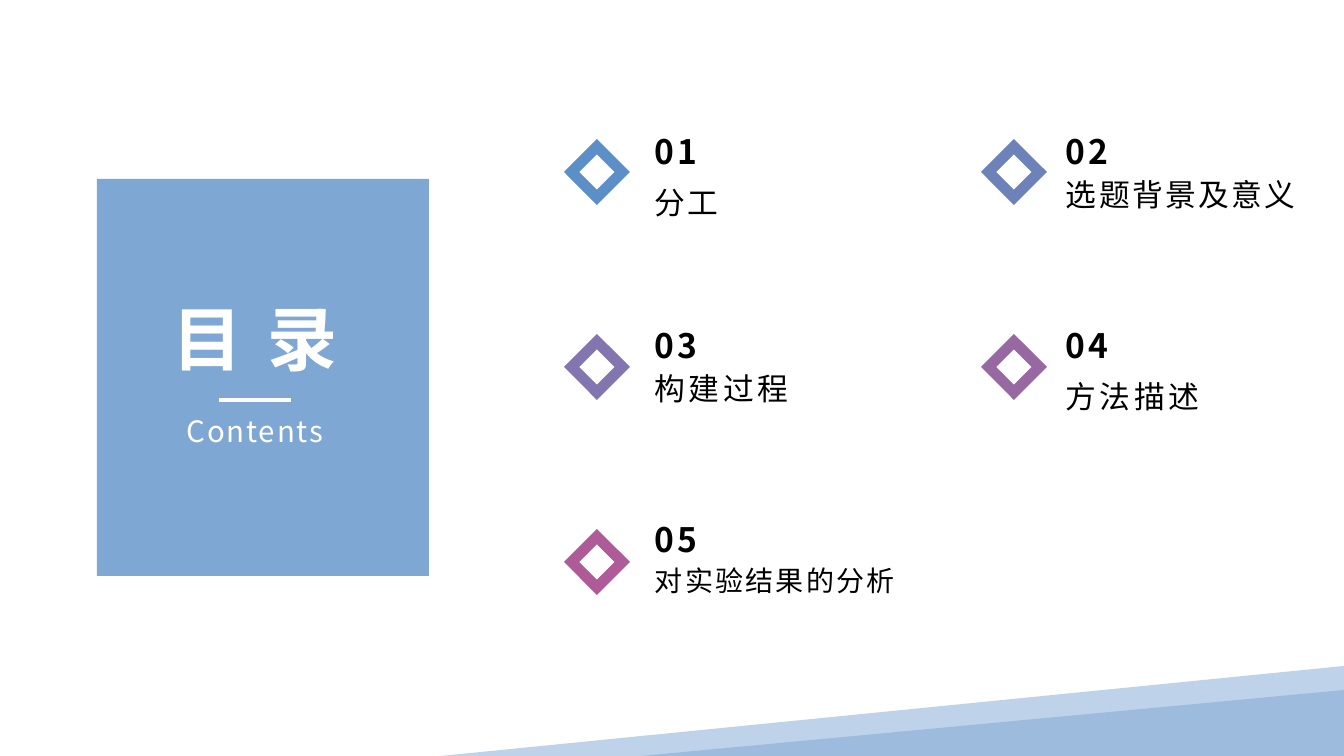
from lxml import etree
from pptx import Presentation
from pptx.dml.color import RGBColor
from pptx.enum.shapes import MSO_CONNECTOR as CONN, MSO_SHAPE as SHAPE
from pptx.enum.text import MSO_ANCHOR as ANCHOR, PP_ALIGN as ALIGN
from pptx.oxml.ns import qn
from pptx.util import Pt

PX = 914400 / 100.8  # EMU in one px
FONT = "Noto Sans CJK SC"
COLORS = {
    "white": "FFFFFF", "black": "000000", "panel": "5C8FC7",
    "band_light": "BED2E9", "band_dark": "9DBCDD",
    "01": "5C8FC7", "02": "6E82BA", "03": "8376B0", "04": "9868A3", "05": "AE5B97",
}
# Title, text size, letter spacing in points, line spacing
TOPICS = [
    ("分工", 22, 1.4, 1.2),
    ("选题背景及意义", 22, 1.7, 1.0),
    ("构建过程", 22, 2.4, 1.0),
    ("方法描述", 22, 2.4, 1.2),
    ("对实验结果的分析", 20, 1.6, 1.0),
]
DIAMOND_X, TEXT_X = (564, 981), (645, 1056)
DIAMOND_Y, DIAMOND_STEP = 139, 195
TEXT_Y, TEXT_STEP = 108, 194
DIAMOND, HOLE = 66, 35


def px(*lengths):
    return [round(n * PX) for n in lengths]


def rgb(name):
    return RGBColor.from_string(COLORS[name])


def paint(sp, color, alpha=None):
    sp.shadow.inherit = False
    sp.fill.solid()
    sp.fill.fore_color.rgb = rgb(color)
    sp.line.fill.background()
    if alpha:
        clr = sp.fill._xPr.find(".//" + qn("a:srgbClr"))
        etree.SubElement(clr, qn("a:alpha"), val=str(alpha * 1000))
    return sp


def add_block(s, kind, box, color, alpha=None):
    return paint(s.shapes.add_shape(kind, *px(*box)), color, alpha)


def add_text(s, text, box, size, spacing, color="black", bold=False, align=ALIGN.LEFT,
             anchor=ANCHOR.TOP, top=5, bottom=5, line=1.0, after=0):
    tf = s.shapes.add_textbox(*px(*box)).text_frame
    tf.word_wrap = True
    tf.vertical_anchor = anchor
    tf.margin_top, tf.margin_bottom = px(top, bottom)
    p = tf.paragraphs[0]
    p.alignment, p.line_spacing, p.space_after = align, line, Pt(after)
    r = p.add_run()
    r.text = text
    r.font.size, r.font.bold, r.font.name = Pt(size), bold, FONT
    r.font.color.rgb = rgb(color)
    rPr = r.font._element
    rPr.set("spc", str(round(spacing * 100)))
    etree.SubElement(rPr, qn("a:ea"), typeface=FONT)


def add_rule(s, x1, x2, y, color, width):
    c = s.shapes.add_connector(CONN.STRAIGHT, *px(x1, y, x2, y))
    c.line.color.rgb = rgb(color)
    c.line.width = Pt(width)
    etree.SubElement(c._element.spPr, qn("a:effectLst"))


def add_corner_bands(s):
    fb = s.shapes.build_freeform(1344, 666, scale=PX)
    fb.add_line_segments([(1344, 750), (904, 756), (441, 756)], close=True)
    paint(fb.convert_to_shape(), "band_light")
    wedge = add_block(s, SHAPE.ISOSCELES_TRIANGLE, (641, 690, 703, 66), "band_dark")
    wedge.adjustments[0] = 1


def add_panel(s):
    add_block(s, SHAPE.RECTANGLE, (97, 179, 332, 397), "panel", alpha=78)
    add_text(s, "目 录", (117, 291, 276, 107), 50, 3.4, "white", bold=True, align=ALIGN.CENTER)
    add_rule(s, 219, 291, 400, "white", 3)
    add_text(s, "Contents", (117, 408, 276, 54), 21, 1.3, "white", align=ALIGN.CENTER)


def add_topic(s, index, title, size, spacing, line):
    row, col = divmod(index, 2)
    number = f"{index + 1:02d}"
    # Diamond ring
    x, y = DIAMOND_X[col], DIAMOND_Y + row * DIAMOND_STEP
    inset = (DIAMOND - HOLE) / 2
    add_block(s, SHAPE.DIAMOND, (x, y, DIAMOND, DIAMOND), number)
    add_block(s, SHAPE.DIAMOND, (x + inset, y + inset, HOLE, HOLE), "white")
    # Number above title
    x, y = TEXT_X[col], TEXT_Y + row * TEXT_STEP
    add_text(s, number, (x, y, 240, 63), 24, 2, bold=True, anchor=ANCHOR.BOTTOM, bottom=0)
    add_text(s, title, (x, y + 68, 286, 102), size, spacing, top=0, line=line, after=8)


def main():
    prs = Presentation()
    prs.slide_width, prs.slide_height = px(1344, 756)
    s = prs.slides.add_slide(prs.slide_layouts[6])
    add_corner_bands(s)
    add_panel(s)
    for index, topic in enumerate(TOPICS):
        add_topic(s, index, *topic)
    prs.save("out.pptx")


if __name__ == "__main__":
    main()
